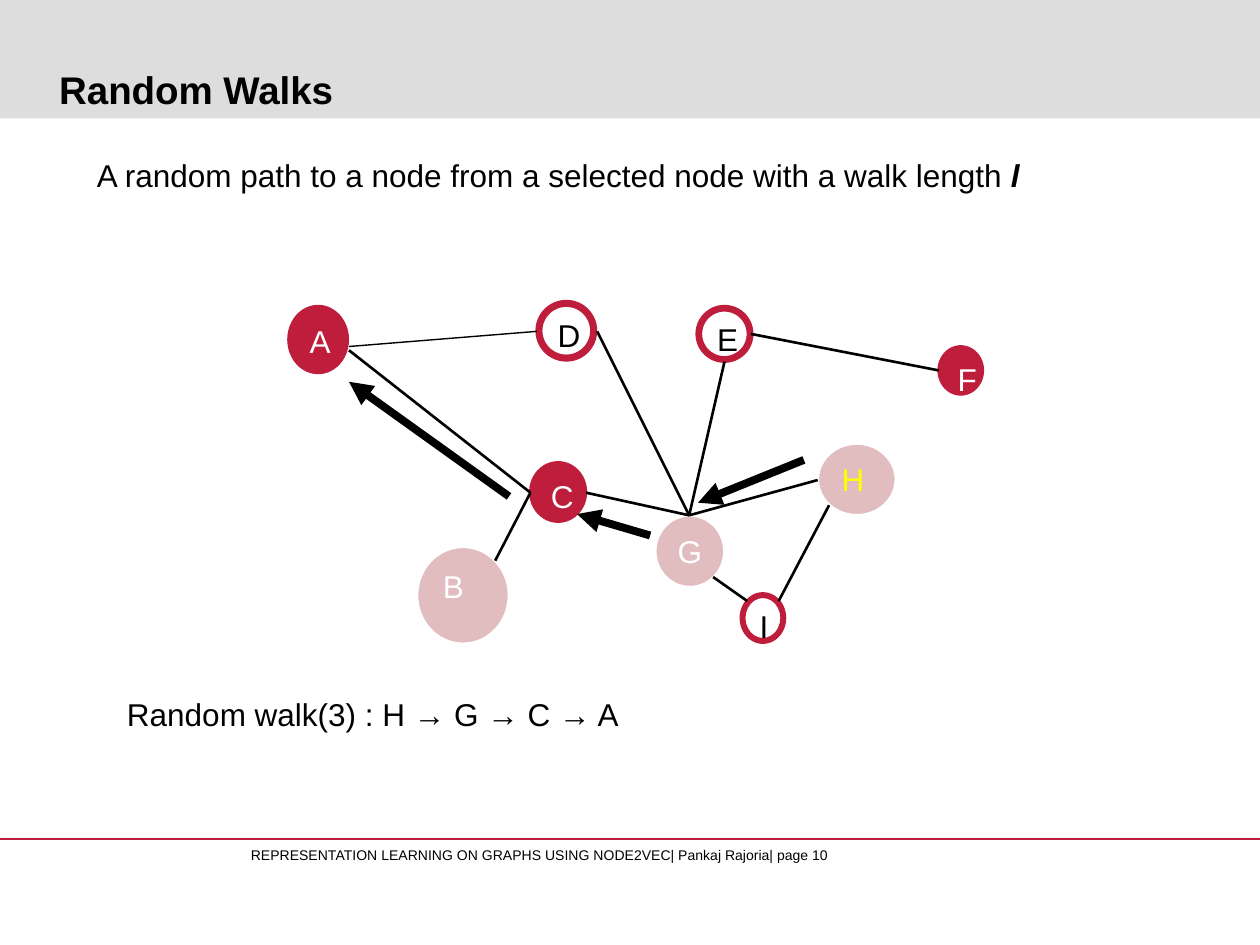
from lxml.etree import SubElement
from pptx import Presentation
from pptx.dml.color import RGBColor
from pptx.enum.shapes import MSO_CONNECTOR, MSO_SHAPE
from pptx.enum.text import MSO_ANCHOR, PP_ALIGN
from pptx.oxml.ns import qn
from pptx.util import Inches, Pt

BLACK = RGBColor(0x00, 0x00, 0x00)
WHITE = RGBColor(0xFF, 0xFF, 0xFF)
RED = RGBColor(0xBE, 0x1E, 0x3C)
PINK = RGBColor(0xE2, 0xBD, 0xC0)
YELLOW = RGBColor(0xFF, 0xFF, 0x00)
GREY = RGBColor(0xDD, 0xDD, 0xDD)

# Node kinds: shape, fill, line
FULL = (MSO_SHAPE.OVAL, RED, RED)
PALE = (MSO_SHAPE.OVAL, PINK, WHITE)
RING = (MSO_SHAPE.DONUT, RED, RED)

# Name, kind, text colour, left, top, width, height
NODES = [
    ("A", FULL, WHITE, 2.29, 2.43, 0.47, 0.53),
    ("D", RING, BLACK, 4.26, 2.39, 0.47, 0.47),
    ("B", PALE, WHITE, 3.31, 4.34, 0.73, 0.77),
    ("F", FULL, WHITE, 7.45, 2.75, 0.35, 0.38),
    ("G", PALE, WHITE, 5.2, 4.09, 0.55, 0.57),
    ("C", FULL, WHITE, 4.21, 3.67, 0.44, 0.47),
    ("E", RING, BLACK, 5.53, 2.43, 0.44, 0.44),
    ("I", RING, BLACK, 5.88, 4.71, 0.35, 0.39),
    ("H", PALE, YELLOW, 6.49, 3.52, 0.62, 0.57),
]

C_LEFT = (4.21, 3.91)
G_TOP = (5.47, 4.09)
EDGES = [
    ((2.77, 2.78), C_LEFT),
    (C_LEFT, (3.93, 4.45)),
    ((4.74, 2.63), G_TOP),
    ((4.65, 3.91), G_TOP),
    ((5.75, 2.87), G_TOP),
    ((5.96, 2.65), (7.45, 2.94)),
    (G_TOP, (6.49, 3.81)),
    ((5.66, 4.58), (5.93, 4.77)),
    ((6.18, 4.77), (6.58, 4.01)),
]
STEPS = [
    ((6.38, 3.65), (5.54, 3.99)),
    ((5.16, 4.25), (4.58, 4.08)),
    ((4.04, 3.94), (2.77, 3.03)),
]


class Deck:
    font = "Arial"
    size = 18

    def __init__(self):
        self.prs = Presentation()
        self.prs.slide_width = Inches(10)
        self.prs.slide_height = Inches(7.5)
        self.slide = self.prs.slides.add_slide(self.prs.slide_layouts[6])

    def style(self, run, color=BLACK, size=None, bold=False, italic=False):
        font = run.font
        font.name = self.font
        font.size = Pt(size or self.size)
        font.color.rgb = color
        font.bold = bold
        font.italic = italic

    def shape(self, kind, box, fill, line=None):
        shape = self.slide.shapes.add_shape(kind, *map(Inches, box))
        shape.shadow.inherit = False
        shape.fill.solid()
        shape.fill.fore_color.rgb = fill
        if line is None:
            shape.line.fill.background()
        else:
            shape.line.color.rgb = line
            shape.line.width = Pt(1.5)
        return shape

    def node(self, name, kind, color, *box):
        form, fill, line = kind
        shape = self.shape(form, box, fill, line)
        if form == MSO_SHAPE.DONUT:
            shape.adjustments[0] = 0.075
        frame = shape.text_frame
        frame.text = name
        frame.vertical_anchor = MSO_ANCHOR.TOP
        para = frame.paragraphs[0]
        para.alignment = PP_ALIGN.LEFT
        self.style(para.runs[0], color)

    def line(self, start, end, width=1.5, color=BLACK, arrow=False):
        points = map(Inches, start + end)
        line = self.slide.shapes.add_connector(MSO_CONNECTOR.STRAIGHT, *points)
        line.line.color.rgb = color
        line.line.width = Pt(width)
        if arrow:
            SubElement(line.line._get_or_add_ln(), qn("a:tailEnd"), type="triangle")
        SubElement(line._element.spPr, qn("a:effectLst"))

    def text(self, words, box, size=None, bold=False, inset=True, wrap=True,
             anchor=MSO_ANCHOR.TOP):
        frame = self.slide.shapes.add_textbox(*map(Inches, box)).text_frame
        frame.word_wrap = wrap
        frame.vertical_anchor = anchor
        if not inset:
            frame.margin_left = frame.margin_right = 0
            frame.margin_top = frame.margin_bottom = 0
        frame.text = words
        para = frame.paragraphs[0]
        self.style(para.runs[0], size=size, bold=bold)
        return para


def main():
    deck = Deck()
    deck.shape(MSO_SHAPE.RECTANGLE, (0, 0, 10, 0.94), GREY)
    deck.line((0, 6.66), (10, 6.66), 0.75, RED)
    deck.text("REPRESENTATION LEARNING ON GRAPHS USING NODE2VEC| Pankaj Rajoria| page 10",
              (1.99, 6.72, 4.72, 0.27), size=8, inset=False, wrap=False)
    deck.text("Random Walks", (0.47, 0.12, 9.16, 0.77), size=22, bold=True,
              inset=False, anchor=MSO_ANCHOR.BOTTOM)

    for node in NODES:
        deck.node(*node)
    deck.line((2.77, 2.75), (4.26, 2.63), 0.79)
    for start, end in EDGES:
        deck.line(start, end)
    for start, end in STEPS:
        deck.line(start, end, 4.5, arrow=True)

    deck.text("Random walk(3) : H → G → C → A", (0.91, 5.47, 7.24, 0.4))
    para = deck.text("A random path to a node from a selected node with a walk length ",
                     (0.67, 1.19, 8.81, 0.4))
    run = para.add_run()
    run.text = "l"
    deck.style(run, bold=True, italic=True)
    deck.prs.save("out.pptx")


if __name__ == "__main__":
    main()
